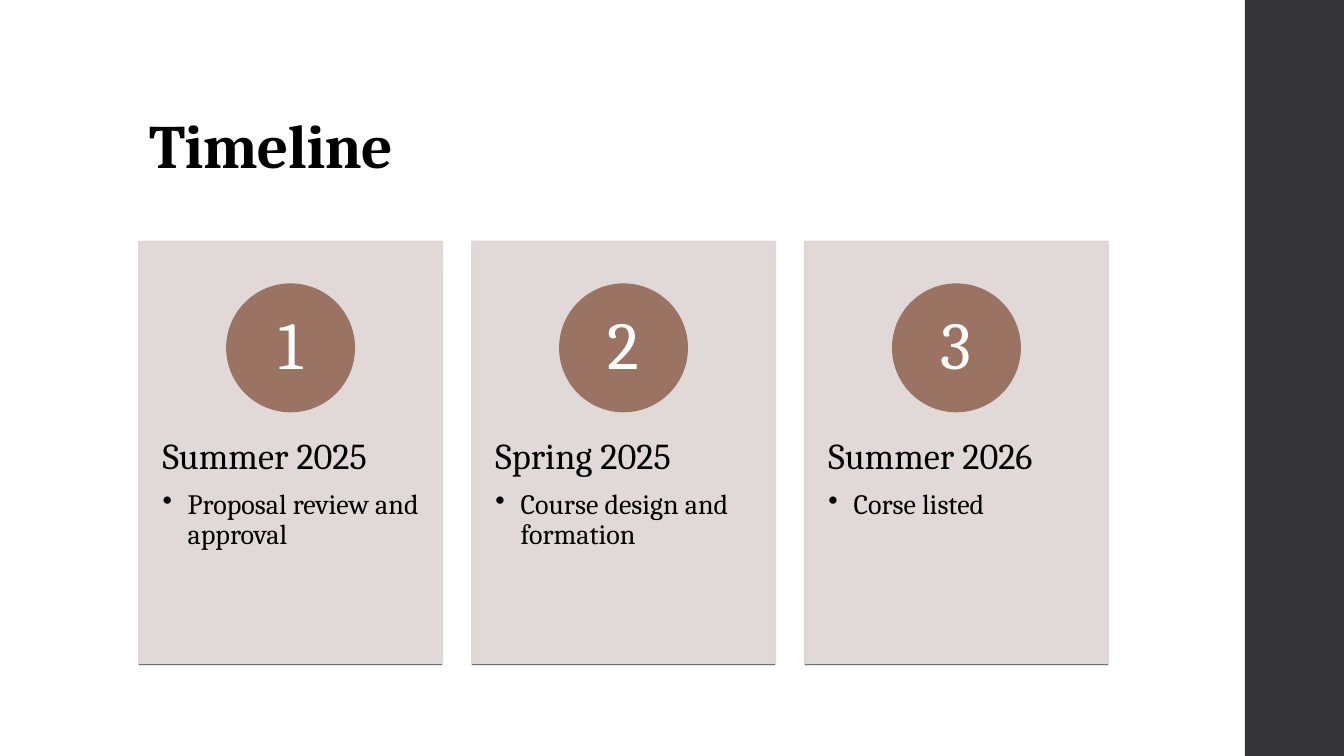
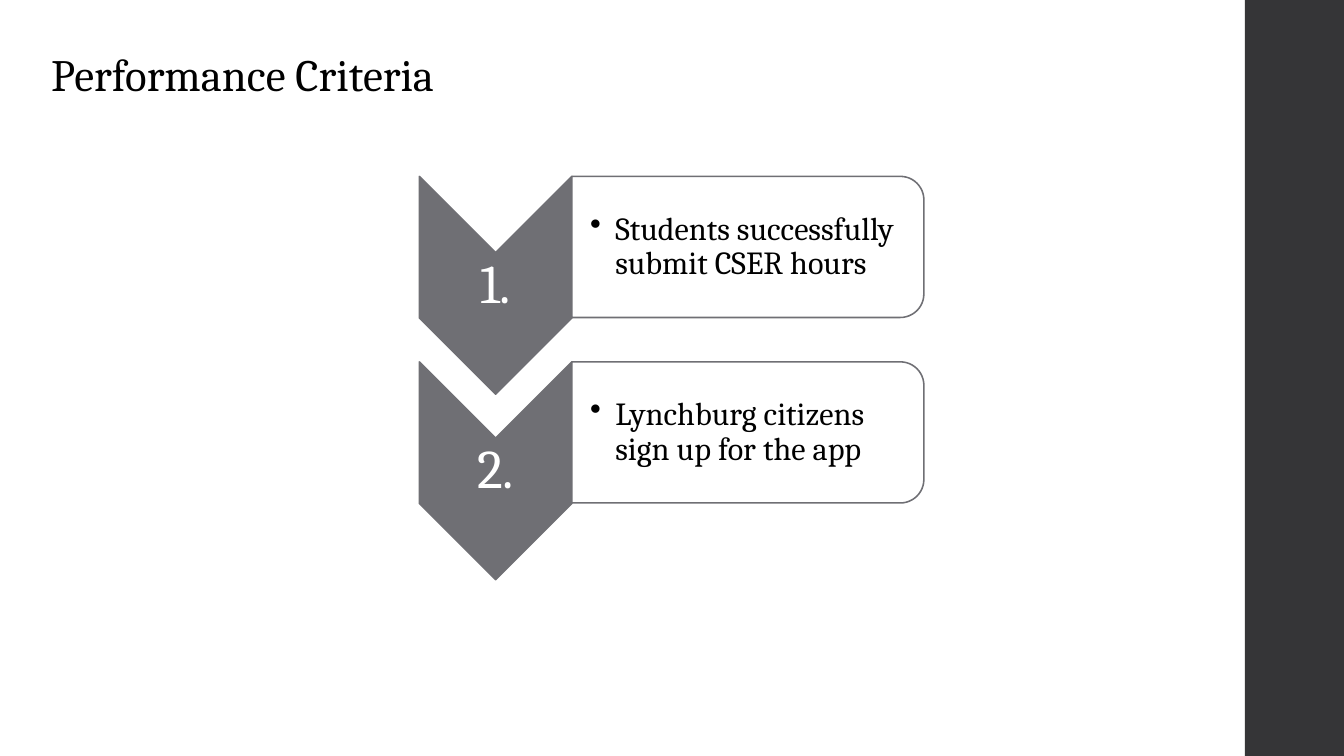
from pptx import Presentation
from pptx.dml.color import RGBColor
from pptx.enum.shapes import MSO_CONNECTOR as LINK, MSO_SHAPE as KIND
from pptx.enum.text import MSO_ANCHOR as ANCHOR, PP_ALIGN as ALIGN
from pptx.oxml.ns import qn
from pptx.util import Pt
from lxml.etree import SubElement

FONT = "Cambria"
BLACK, WHITE = "000000", "FFFFFF"
DARK, GREY = "353537", "6F6F74"
BROWN, SAND = "9B7362", "DED5D3"
rgb = RGBColor.from_string


def draw(slide, kind, box, fill, line=None, alpha=None):
    """Add a flat preset shape; box is left, top, width, height in points."""
    shape = slide.shapes.add_shape(kind, *map(Pt, box))
    shape.shadow.inherit = False
    shape.fill.solid()
    shape.fill.fore_color.rgb = rgb(fill)
    if line:
        shape.line.color.rgb = rgb(line)
        shape.line.width = Pt(1.1)
    else:
        shape.line.fill.background()
    if alpha:
        for color in shape._element.spPr.iter(qn("a:srgbClr")):
            SubElement(color, qn("a:alpha"), val=str(alpha * 1000))
    return shape


def write(shape, lines, color=BLACK, pad=(7.2, 3.6, 7.2, 3.6),
          anchor=ANCHOR.TOP, align=ALIGN.LEFT, lead=0.9):
    """Fill a shape with lines of (text, size, space after, bulleted)."""
    frame = shape.text_frame
    frame.word_wrap = True
    frame.vertical_anchor = anchor
    (frame.margin_left, frame.margin_top,
     frame.margin_right, frame.margin_bottom) = map(Pt, pad)
    for i, (text, size, after, dot) in enumerate(lines):
        para = frame.add_paragraph() if i else frame.paragraphs[0]
        para.text = text
        para.alignment = align
        para.line_spacing = lead
        para.space_after = Pt(after)
        if dot:
            props = para._p.get_or_add_pPr()
            props.set("marL", str(Pt(18)))
            props.set("indent", str(-Pt(18)))
            SubElement(props, qn("a:buChar"), char="•")
        font = para.font
        font.name, font.size = FONT, Pt(size)
        font.color.rgb = rgb(color)
    return frame


deck = Presentation()
deck.slide_width, deck.slide_height = Pt(960), Pt(540)

# Shared: blank slide, dark side band, title
heads = [
    ("Timeline", (99.4, 28.8, 763.2, 104.4), 44, ANCHOR.BOTTOM, 0.9, 6),
    ("Performance Criteria", (29.5, 29.5, 325.4, 85), 32, ANCHOR.TOP, 1.0, 0),
]
slides = []
for text, box, size, anchor, lead, after in heads:
    slide = deck.slides.add_slide(deck.slide_layouts[6])
    draw(slide, KIND.RECTANGLE, (889.2, 0, 70.8, 540), DARK)
    title = slide.shapes.add_textbox(*map(Pt, box))
    write(title, [(text, size, after, False)], anchor=anchor, lead=lead)
    slides.append(slide)
time, goals = slides

# Timeline: bold, slightly tightened title
head = time.shapes[1].text_frame.paragraphs[0]
head.font.bold = True
head.runs[0].font._element.set("spc", "-50")

# Timeline: three numbered cards
left, top, wide, high, step = 99.2, 172.4, 216.8, 302.6, 237.8
disc = 91
cards = [
    ("Summer 2025", "Proposal review and approval"),
    ("Spring 2025", "Course design and formation"),
    ("Summer 2026", "Corse listed"),
]
for i, (term, task) in enumerate(cards):
    x = left + i * step
    card = draw(time, KIND.RECTANGLE, (x, top, wide, high), SAND, SAND, 90)
    write(card, [(term, 26, 9, False), (task, 20, 3, True)],
          pad=(16.9, 140.8, 16.9, 25.9))

    spot = (x + (wide - disc) / 2, top + 30.6, disc, disc)
    badge = draw(time, KIND.OVAL, spot, BROWN, BROWN)
    write(badge, [(str(i + 1), 48, 0, False)], WHITE, (7.2, 0.7, 7.2, 0.7),
          ANCHOR.MIDDLE, ALIGN.CENTER)

    base = time.shapes.add_connector(
        LINK.STRAIGHT, Pt(x), Pt(top + high), Pt(x + wide), Pt(top + high))
    base.line.color.rgb = rgb(GREY)
    base.line.width = Pt(0.75)
    SubElement(base._element.spPr, qn("a:effectLst"))

# Criteria: chevrons pointing down, each with a rounded box
tall, broad = 155.6, 109       # chevron as seen after its quarter turn
deep, long = 100.8, 251.4      # rounded box as seen after its quarter turn
left, top, step = 299.5, 126, 132.5
goal = ["Students successfully submit CSER hours",
        "Lynchburg citizens sign up for the app"]
for i, text in enumerate(goal):
    y = top + i * step
    # A turned shape keeps its centre, so its frame is set around that
    mid, half = left + broad / 2, y + tall / 2
    mark = draw(goals, KIND.CHEVRON,
                (mid - tall / 2, half - broad / 2, tall, broad), GREY, GREY)
    mark.rotation = 90
    label = goals.shapes.add_textbox(
        Pt(left), Pt(half - 23.4), Pt(broad), Pt(46.8))
    write(label, [(f"{i + 1}.", 39, 0, False)], WHITE, (2, 2, 2, 2),
          ANCHOR.MIDDLE, ALIGN.CENTER)

    edge = left + broad
    mid, half = edge + long / 2, y + deep / 2
    panel = draw(goals, KIND.ROUND_2_SAME_RECTANGLE,
                 (mid - deep / 2, half - long / 2, deep, long), WHITE, GREY)
    panel.rotation = 90
    note = goals.shapes.add_textbox(
        Pt(edge), Pt(half - 45.4), Pt(246.2), Pt(90.8))
    write(note, [(text, 23, 0, True)], pad=(13, 1.4, 1.4, 1.4),
          anchor=ANCHOR.MIDDLE)

deck.save("out.pptx")
